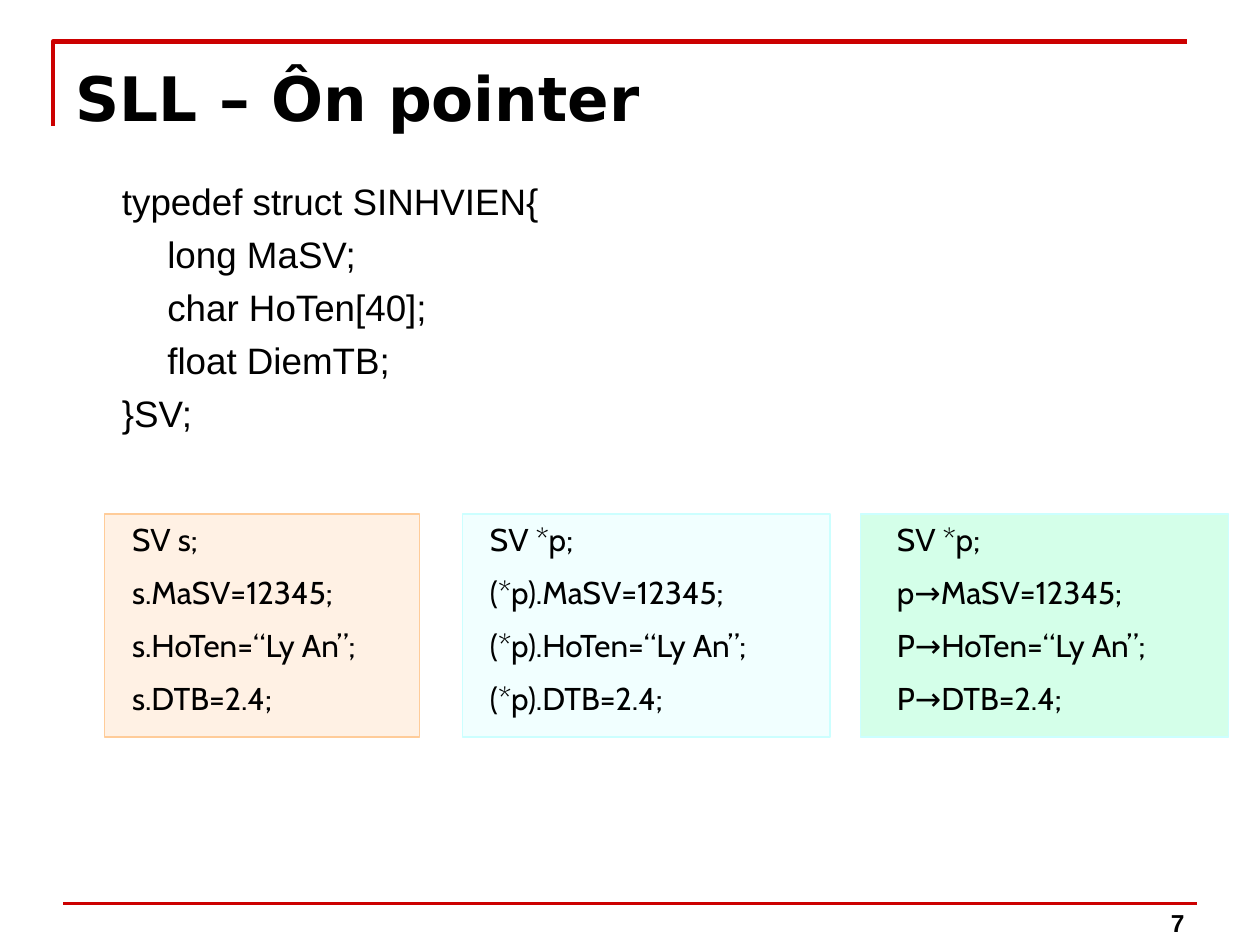
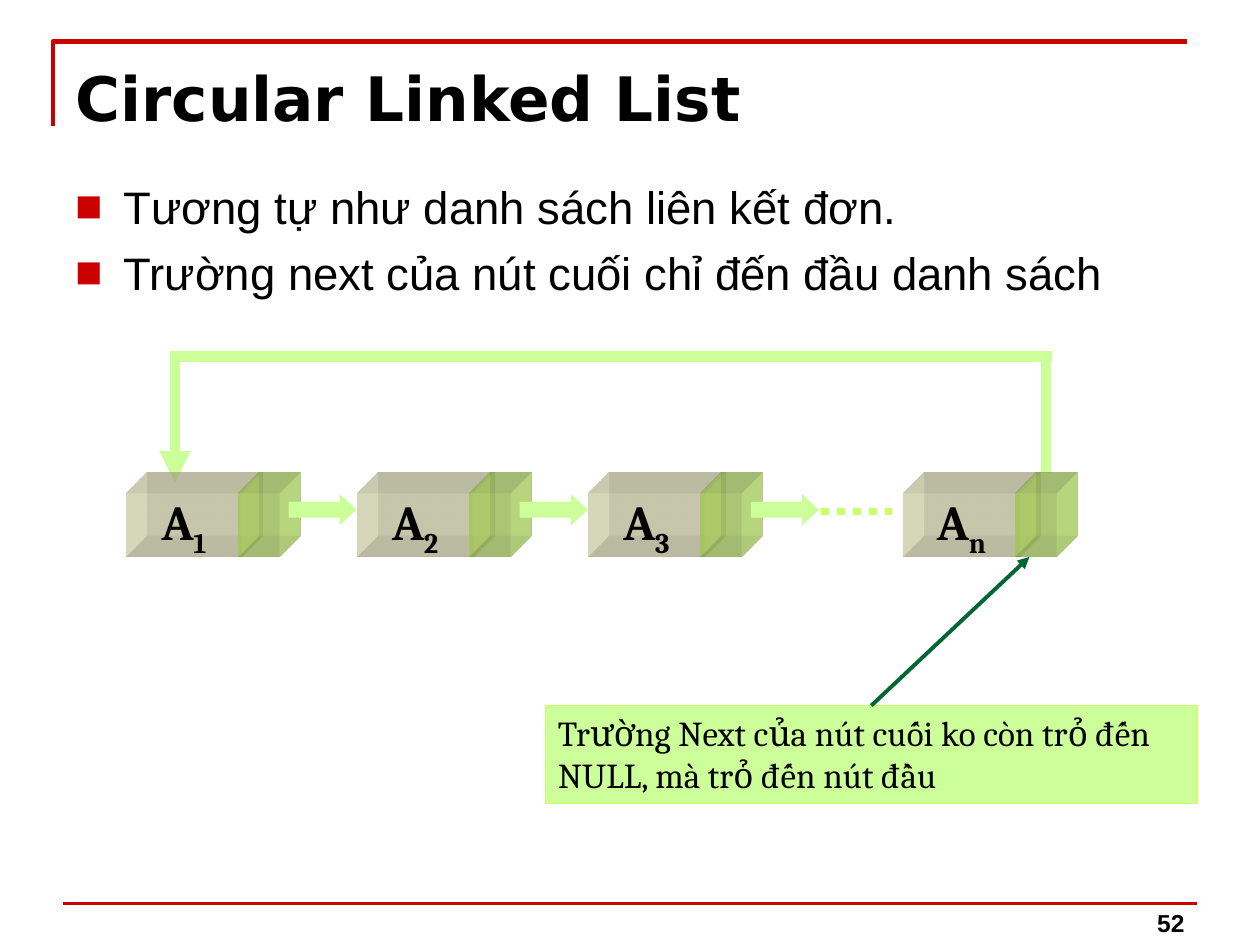
from lxml import etree
from pptx import Presentation
from pptx.dml.color import RGBColor
from pptx.enum.dml import MSO_LINE
from pptx.enum.shapes import MSO_CONNECTOR, MSO_SHAPE
from pptx.enum.text import MSO_ANCHOR, MSO_AUTO_SIZE, PP_ALIGN
from pptx.oxml import parse_xml
from pptx.oxml.ns import nsdecls, qn
from pptx.util import Inches, Pt

RECTANGLE = MSO_SHAPE.RECTANGLE
RIGHT_ARROW = MSO_SHAPE.RIGHT_ARROW
STRAIGHT = MSO_CONNECTOR.STRAIGHT
SYSTEM_DOT = MSO_LINE.ROUND_DOT
LEFT, CENTER, RIGHT = PP_ALIGN.LEFT, PP_ALIGN.CENTER, PP_ALIGN.RIGHT
TOP, MIDDLE, BOTTOM = MSO_ANCHOR.TOP, MSO_ANCHOR.MIDDLE, MSO_ANCHOR.BOTTOM
NO_AUTOFIT = MSO_AUTO_SIZE.NONE
TITLE_ONLY = 5

RED, BLACK = "CC0000", "000000"
LIME, YELLOW_GREEN, CREAM = "CCFF99", "CCFF66", "FFFFCC"
DARK_GREEN, AQUA, PEACH, MINT = "006633", "CCFFFF", "FFCC99", "5CFFAD"


def color(value):
    return RGBColor.from_string(value)


def write(frame, lines, font="Arial", size=18, bold=False, align=LEFT, anchor=TOP,
          inset=0.05, indents=(0,), hanging=0, space=0, bullet=None, wrap=True):
    frame.auto_size = NO_AUTOFIT
    frame.word_wrap = wrap
    frame.vertical_anchor = anchor
    frame.margin_left = frame.margin_right = Inches(0.1)
    frame.margin_top = frame.margin_bottom = Inches(inset)
    for index, line in enumerate(lines):
        paragraph = frame.paragraphs[0] if index == 0 else frame.add_paragraph()
        paragraph.alignment = align
        paragraph.space_before = Pt(space if index else 0)
        properties = paragraph._p.get_or_add_pPr()
        properties.set("marL", str(Inches(indents[index % len(indents)])))
        properties.set("indent", str(Inches(-hanging)))
        if bullet:
            bullet_color = etree.SubElement(properties, qn("a:buClr"))
            etree.SubElement(bullet_color, qn("a:srgbClr"), val=RED)
            etree.SubElement(properties, qn("a:buFont"), typeface="Arial")
            etree.SubElement(properties, qn("a:buChar"), char=bullet)
        base, *subscripts = line if isinstance(line, tuple) else (line,)
        for position, text in enumerate([base, *subscripts]):
            run = paragraph.add_run()
            run.text = text
            run.font.name, run.font.size, run.font.bold = font, Pt(size), bold
            run.font.color.rgb = color(BLACK)
            if position:
                run._r.get_or_add_rPr().set("baseline", "-25000")


class Deck:
    title_style = dict(font="DejaVu Sans", size=35, bold=True, inset=0.09)
    number_style = dict(size=14, bold=True, align=RIGHT, anchor=BOTTOM)

    def __init__(self):
        self.presentation = Presentation()
        self.presentation.slide_width = Inches(10)
        self.presentation.slide_height = Inches(7.5)
        self.slide = None

    def new_slide(self, title, number):
        layout = self.presentation.slide_layouts[TITLE_ONLY]
        self.slide = self.presentation.slides.add_slide(layout)
        self.corner()
        self.line((0.5, 7.17), (9.5, 7.17), RED, 2)
        self.text([str(number)], 7.17, 6.99, 2.33, 0.5, **self.number_style)
        placeholder = self.slide.shapes.title
        placeholder.left, placeholder.top = Inches(0.5), Inches(0.39)
        placeholder.width, placeholder.height = Inches(9), Inches(0.86)
        write(placeholder.text_frame, [title], **self.title_style)

    def corner(self):
        builder = self.slide.shapes.build_freeform(Inches(0.42), Inches(1))
        points = [(Inches(0.42), Inches(0.33)), (Inches(9.42), Inches(0.33))]
        builder.add_line_segments(points, close=False)
        shape = builder.convert_to_shape()
        shape.shadow.inherit = False
        shape.fill.background()
        shape.line.color.rgb = color(RED)
        shape.line.width = Pt(2.5)

    def text(self, lines, left, top, width, height, **style):
        box = self.slide.shapes.add_textbox(
            Inches(left), Inches(top), Inches(width), Inches(height))
        write(box.text_frame, lines, **style)

    def shape(self, left, top, width, height, fill, kind=RECTANGLE, opacity=100,
              outline=None, outline_width=1, lines=(), **style):
        shape = self.slide.shapes.add_shape(
            kind, Inches(left), Inches(top), Inches(width), Inches(height))
        shape.shadow.inherit = False
        shape.fill.solid()
        shape.fill.fore_color.rgb = color(fill)
        if opacity < 100:
            value = shape._element.spPr.find(qn("a:solidFill")).find(qn("a:srgbClr"))
            etree.SubElement(value, qn("a:alpha"), val=str(opacity * 1000))
        if outline:
            shape.line.color.rgb = color(outline)
            shape.line.width = Pt(outline_width)
        else:
            shape.line.fill.background()
        if lines:
            write(shape.text_frame, lines, **style)
        return shape

    def block(self, left, top, width, height, fill, **style):
        shape = self.shape(left, top, width, height, fill, opacity=50, **style)
        properties = shape._element.spPr
        properties.append(parse_xml(
            f'<a:scene3d {nsdecls("a")}><a:camera prst="legacyObliqueTopRight"/>'
            '<a:lightRig rig="legacyFlat3" dir="b"/></a:scene3d>'))
        properties.append(parse_xml(
            f'<a:sp3d {nsdecls("a")} extrusionH="430200" prstMaterial="legacyMatte">'
            '<a:bevelT w="13500" h="13500" prst="angle"/>'
            '<a:bevelB w="13500" h="13500" prst="angle"/>'
            f'<a:extrusionClr><a:srgbClr val="{fill}"/></a:extrusionClr></a:sp3d>'))

    def line(self, start, end, stroke, width, arrow=False, dash=None):
        connector = self.slide.shapes.add_connector(
            STRAIGHT, *(Inches(value) for value in (*start, *end)))
        connector.line.color.rgb = color(stroke)
        connector.line.width = Pt(width)
        if dash:
            connector.line.dash_style = dash
        if arrow:
            outline = connector.line._get_or_add_ln()
            etree.SubElement(outline, qn("a:tailEnd"), type="triangle")
        etree.SubElement(connector._element.spPr, qn("a:effectLst"))
        return connector

    def node(self, left, label, linked):
        top, height = 3.92, 0.5
        self.block(left, top, 0.92, height, CREAM, lines=[("A", label)],
                   font="Cambria", size=28, bold=True, align=CENTER,
                   anchor=MIDDLE, wrap=False)
        self.block(left + 0.89, top, 0.33, height, YELLOW_GREEN)
        if linked:
            arrow = self.shape(left + 1.29, top, 0.54, 0.25, LIME, kind=RIGHT_ARROW)
            arrow.adjustments[1] = 0.54


def pointer_slide(deck):
    deck.new_slide("SLL – Ôn pointer", 7)
    struct_lines = ["typedef struct SINHVIEN{", "long MaSV;", "char HoTen[40];",
                    "float DiemTB;", "}SV;"]
    deck.text(struct_lines, 0.5, 1.33, 9, 2.25, size=21, inset=0.09, space=5,
              indents=(0.37, 0.73, 0.73, 0.73, 0.37))
    fields = ["MaSV=12345;", "HoTen=“Ly An”;", "DTB=2.4;"]
    access_boxes = [
        (0.83, 2.5, PEACH, PEACH, 0.12, "SV s;", ("s.", "s.", "s.")),
        (3.67, 2.92, AQUA, AQUA, 0.12, "SV *p;", ("(*p).", "(*p).", "(*p).")),
        (6.83, 2.92, MINT, AQUA, 0.19, "SV *p;", ("p→", "P→", "P→")),
    ]
    for left, width, fill, outline, indent, declaration, prefixes in access_boxes:
        lines = [declaration] + [prefix + field for prefix, field in zip(prefixes, fields)]
        deck.shape(left, 4.08, width, 1.77, fill, opacity=26, outline=outline,
                   lines=lines, font="Cabin", indents=(indent,), space=8.6)


def circular_list_slide(deck):
    deck.new_slide("Circular Linked List", 52)
    deck.text(["Tương tự như danh sách liên kết đơn.",
               "Trường next của nút cuối chỉ đến đầu danh sách"],
              0.5, 1.33, 9, 5.37, size=26, inset=0.09, space=6.5,
              indents=(0.38,), hanging=0.38, bullet="■")
    deck.line((8.3, 2.82), (8.3, 3.75), LIME, 6)
    deck.line((8.35, 2.83), (1.35, 2.83), LIME, 6)
    deck.line((1.39, 2.83), (1.39, 3.83), LIME, 6, arrow=True)
    callout = deck.shape(
        4.33, 5.6, 5.17, 0.78, LIME, outline=YELLOW_GREEN, outline_width=0.75,
        lines=["Trường Next của nút cuối ko còn trỏ đến NULL, mà trỏ đến nút đầu"],
        font="Cambria", size=20)
    pointer = deck.line((6.92, 5.6), (8.17, 4.42), DARK_GREEN, 2.25, arrow=True)
    pointer.begin_connect(callout, 0)
    deck.line((6.52, 4.06), (7.11, 4.06), YELLOW_GREEN, 4.5, dash=SYSTEM_DOT)
    for index in range(3):
        deck.node(1 + index * 1.835, str(index + 1), linked=True)
    deck.node(7.17, "n", linked=False)


def main():
    deck = Deck()
    pointer_slide(deck)
    circular_list_slide(deck)
    deck.presentation.save("out.pptx")


if __name__ == "__main__":
    main()
